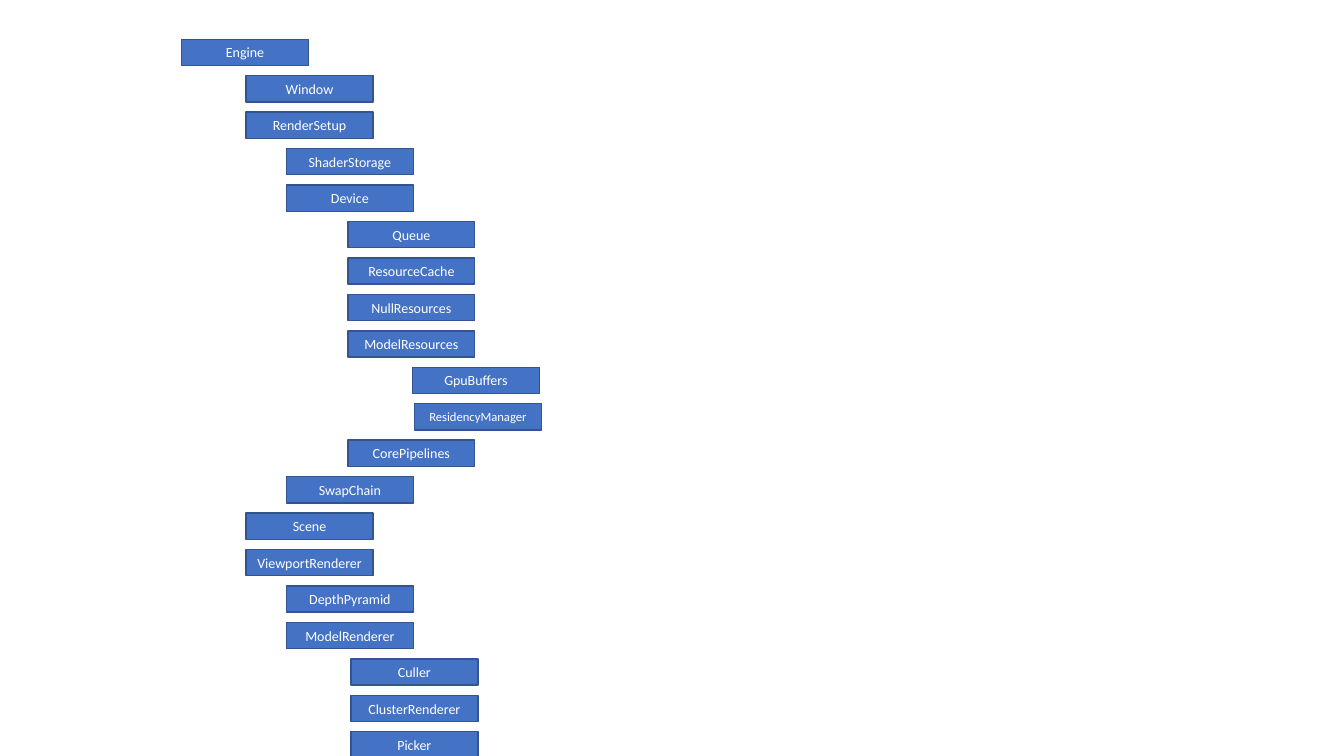
from pptx import Presentation
from pptx.dml.color import RGBColor
from pptx.enum.shapes import MSO_SHAPE
from pptx.enum.text import MSO_ANCHOR, PP_ALIGN
from pptx.util import Inches, Pt

BLUE = RGBColor(0x44, 0x72, 0xC4)
DARK_BLUE = RGBColor(0x32, 0x54, 0x91)
WHITE = RGBColor(0xFF, 0xFF, 0xFF)

BOX_WIDTH, BOX_HEIGHT = 1.26, 0.26
FIRST_TOP, LAST_TOP = 0.39, 7.26

# Left edge of each group of components, in inches
ENGINE = 1.8
ENGINE_PART = 2.44
RENDER_PART = 2.84
DEVICE_PART = 3.45
MODEL_RENDERER_PART = 3.48
GPU_BUFFERS = 4.09
RESIDENCY = 4.11

# Components from top to bottom: name, left edge, text size
COMPONENTS = [
    ("Engine", ENGINE, 10),
    ("Window", ENGINE_PART, 10),
    ("RenderSetup", ENGINE_PART, 10),
    ("ShaderStorage", RENDER_PART, 10),
    ("Device", RENDER_PART, 10),
    ("Queue", DEVICE_PART, 10),
    ("ResourceCache", DEVICE_PART, 10),
    ("NullResources", DEVICE_PART, 10),
    ("ModelResources", DEVICE_PART, 10),
    ("GpuBuffers", GPU_BUFFERS, 10),
    ("ResidencyManager", RESIDENCY, 9),
    ("CorePipelines", DEVICE_PART, 10),
    ("SwapChain", RENDER_PART, 10),
    ("Scene", ENGINE_PART, 10),
    ("ViewportRenderer", ENGINE_PART, 10),
    ("DepthPyramid", RENDER_PART, 10),
    ("ModelRenderer", RENDER_PART, 10),
    ("Culler", MODEL_RENDERER_PART, 10),
    ("ClusterRenderer", MODEL_RENDERER_PART, 10),
    ("Picker", MODEL_RENDERER_PART, 10),
]


class ComponentPage:
    """Holds the current slide and the style of its boxes."""

    font_name = "Calibri"
    fill_color = BLUE
    line_color = DARK_BLUE
    text_color = WHITE

    def __init__(self, page):
        """Keep the slide to draw on."""
        self.page = page

    def component(self, name, left, top, size):
        """Draw one component box with its centred name."""
        box = self.page.shapes.add_shape(
            MSO_SHAPE.RECTANGLE, Inches(left), Inches(top),
            Inches(BOX_WIDTH), Inches(BOX_HEIGHT))
        box.shadow.inherit = False
        box.fill.solid()
        box.fill.fore_color.rgb = self.fill_color
        box.line.color.rgb = self.line_color
        box.line.width = Pt(1)

        frame = box.text_frame
        frame.margin_left = frame.margin_right = Inches(0.05)
        frame.vertical_anchor = MSO_ANCHOR.MIDDLE
        frame.text = name
        paragraph = frame.paragraphs[0]
        paragraph.alignment = PP_ALIGN.CENTER
        font = paragraph.runs[0].font
        font.name = self.font_name
        font.size = Pt(size)
        font.color.rgb = self.text_color


def main():
    """Build the component tree and save the deck."""
    deck = Presentation()
    deck.slide_width, deck.slide_height = Inches(13.33), Inches(7.5)
    blank_layout = deck.slide_layouts[6]
    tree = ComponentPage(deck.slides.add_slide(blank_layout))

    row_step = (LAST_TOP - FIRST_TOP) / (len(COMPONENTS) - 1)
    for row, (name, left, size) in enumerate(COMPONENTS):
        tree.component(name, left, FIRST_TOP + row * row_step, size)

    deck.save("out.pptx")


main()
